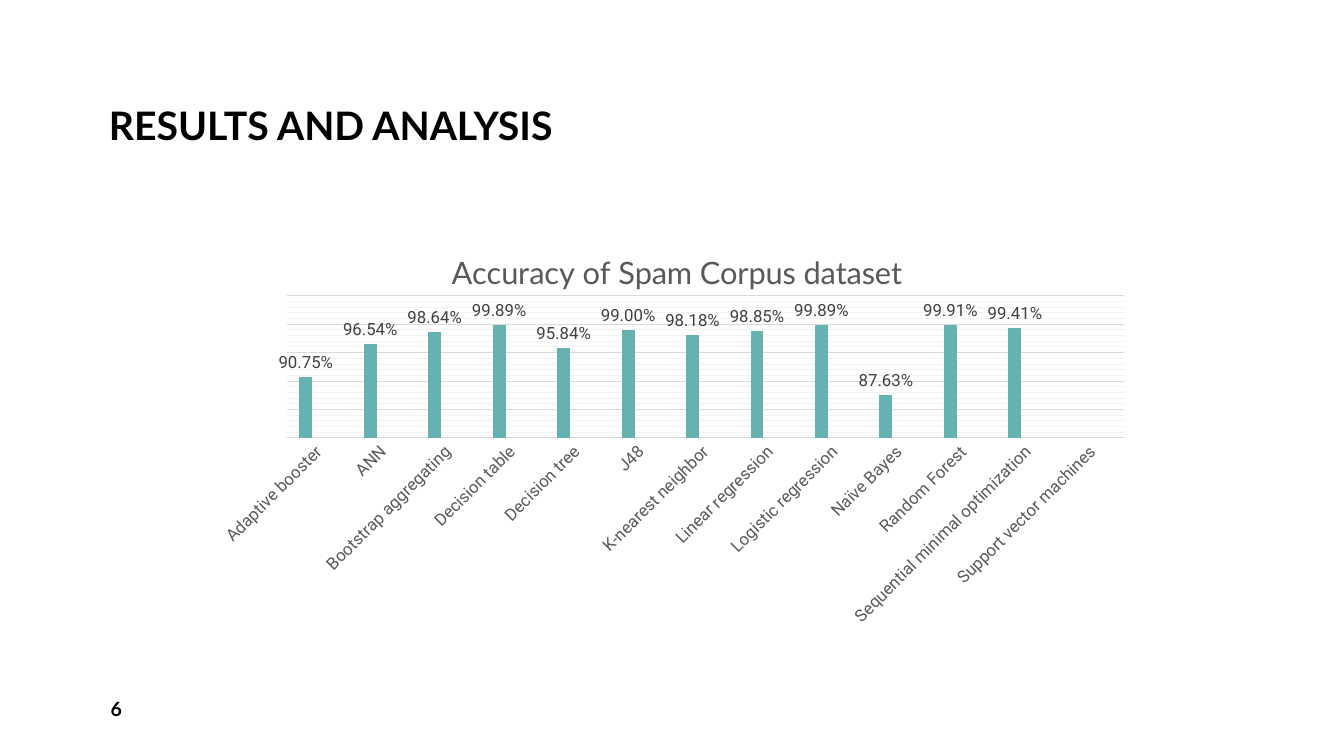
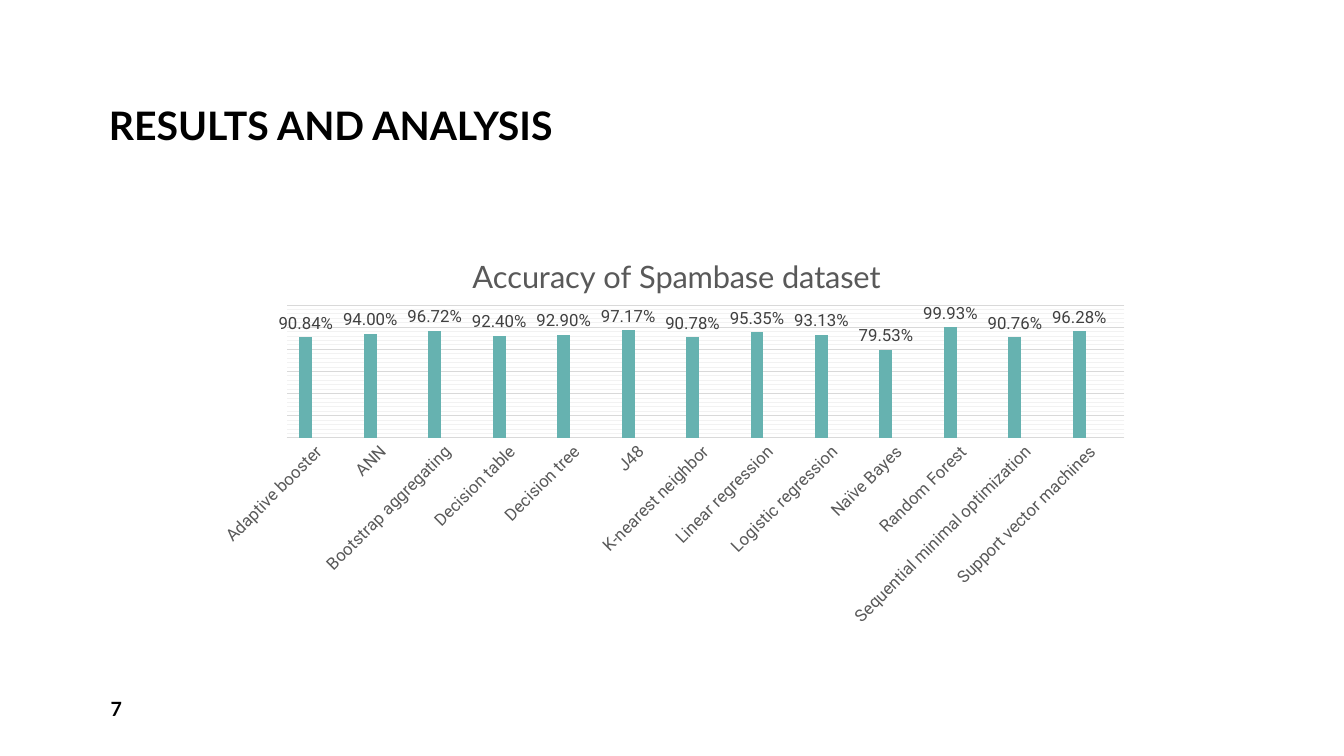
"""Build two slides comparing classifier accuracy on two spam datasets."""
from dataclasses import dataclass
from typing import Optional

import pptx
import pptx.chart.chart
import pptx.chart.data
import pptx.dml.color
import pptx.enum.chart
import pptx.enum.text
import pptx.oxml
import pptx.oxml.ns
import pptx.oxml.xmlchemy
import pptx.presentation
import pptx.slide
import pptx.text.text
import pptx.util

RGBColor = pptx.dml.color.RGBColor
BLACK = RGBColor(0x00, 0x00, 0x00)
AXIS_GRAY = RGBColor(0x59, 0x59, 0x59)
LABEL_GRAY = RGBColor(0x40, 0x40, 0x40)
MAJOR_GRAY = RGBColor(0xD9, 0xD9, 0xD9)
MINOR_GRAY = RGBColor(0xF2, 0xF2, 0xF2)
SERIES_COLORS = (
    RGBColor(0x66, 0xB2, 0xB0),
    RGBColor(0xF2, 0x49, 0x4C),
    RGBColor(0xF3, 0x98, 0x91),
)
HEADING_FONT = "Lato"
CHART_FONT = "Roboto"
PERCENT_FORMAT = "0.00%"
GRIDLINE_WIDTH = pptx.util.Pt(0.75)
SLIDE_WIDTH = pptx.util.Inches(13.33)
SLIDE_HEIGHT = pptx.util.Inches(7.5)
TITLE_ONLY = 5
SLIDE_TITLE = "RESULTS AND ANALYSIS"

CLASSIFIERS = (
    "Adaptive booster",
    "ANN",
    "Bootstrap aggregating",
    "Decision table",
    "Decision tree",
    "J48",
    "K-nearest neighbor",
    "Linear regression",
    "Logistic regression",
    "Naïve Bayes",
    "Random Forest",
    "Sequential minimal optimization",
    "Support vector machines",
)


@dataclass(frozen=True)
class Area:
    """A rectangle in percent of the slide's width and height."""

    left: float
    top: float
    width: float
    height: float

    def box(self) -> tuple[int, int, int, int]:
        """Return left, top, width and height in EMU."""
        return (
            int(SLIDE_WIDTH * self.left / 100),
            int(SLIDE_HEIGHT * self.top / 100),
            int(SLIDE_WIDTH * self.width / 100),
            int(SLIDE_HEIGHT * self.height / 100),
        )


@dataclass(frozen=True)
class Dataset:
    """Accuracy results, the scale that suits them and places in percent of the chart."""

    page: int
    heading: str
    accuracies: tuple[Optional[float], ...]
    lowest: float
    highest: float
    step: float
    heading_place: dict[str, float]
    plot_place: dict[str, float]


TITLE_AREA = Area(7.35, 1.07, 85.37, 19.33)
PAGE_AREA = Area(7.5, 91.07, 21.9, 5.33)
CHART_AREA = Area(14.93, 30.27, 70.22, 53.73)

DATASETS = (
    Dataset(
        page=6,
        heading="Accuracy of Spam Corpus dataset",
        accuracies=(0.9075, 0.9654, 0.9864, 0.9989, 0.9584, 0.99, 0.9818,
                    0.9885, 0.9989, 0.8763, 0.9991, 0.9941, None),
        lowest=0.8,
        highest=1.05,
        step=0.05,
        heading_place={"x": 26, "y": 4},
        plot_place={"x": 9.1, "y": 16.5, "w": 88.8, "h": 35},
    ),
    Dataset(
        page=7,
        heading="Accuracy of Spambase dataset",
        accuracies=(0.9084, 0.94, 0.9672, 0.924, 0.929, 0.9717, 0.9078,
                    0.9535, 0.9313, 0.7953, 0.9993, 0.9076, 0.9628),
        lowest=0,
        highest=1.2,
        step=0.2,
        heading_place={"x": 28.2, "y": 5},
        plot_place={"x": 9.1, "y": 18.8, "w": 88.8, "h": 32.7},
    ),
)


def set_font(font: pptx.text.text.Font, name: str, size: float,
             color: RGBColor, bold: bool = False) -> None:
    """Apply one typeface, size, colour and weight."""
    font.name = name
    font.size = pptx.util.Pt(size)
    font.bold = bold
    font.color.rgb = color


def write_line(frame: pptx.text.text.TextFrame, text: str, size: float,
               anchor: pptx.enum.text.MSO_ANCHOR) -> pptx.text.text._Paragraph:
    """Write a bold left-aligned heading line."""
    frame.word_wrap = True
    frame.auto_size = pptx.enum.text.MSO_AUTO_SIZE.NONE
    frame.vertical_anchor = anchor
    paragraph = frame.paragraphs[0]
    paragraph.text = text
    paragraph.alignment = pptx.enum.text.PP_ALIGN.LEFT
    set_font(paragraph.font, HEADING_FONT, size, BLACK, bold=True)
    return paragraph


def place_in_chart(part: pptx.oxml.xmlchemy.BaseOxmlElement,
                   place: dict[str, float], inner: bool = False) -> None:
    """Fix a chart part's position in percent of the chart."""
    namespace = pptx.oxml.ns.nsdecls("c")
    layout = part.find(pptx.oxml.ns.qn("c:layout"))
    if layout is None:
        layout = pptx.oxml.parse_xml(f"<c:layout {namespace}/>")
        part.insert(0, layout)
    settings = {"layoutTarget": "inner"} if inner else {}
    settings |= {f"{side}Mode": "edge" for side in ("x", "y")}
    settings |= {side: f"{share / 100:.3f}" for side, share in place.items()}
    children = "".join(f'<c:{tag} val="{value}"/>' for tag, value in settings.items())
    layout.append(pptx.oxml.parse_xml(
        f"<c:manualLayout {namespace}>{children}</c:manualLayout>"))


def style_axes(chart: pptx.chart.chart.Chart, dataset: Dataset) -> None:
    """Slant the classifier names and set the hidden accuracy scale."""
    qn = pptx.oxml.ns.qn
    no_tick = pptx.enum.chart.XL_TICK_MARK.NONE
    names = chart.category_axis
    names.has_major_gridlines = False
    names.major_tick_mark = names.minor_tick_mark = no_tick
    names.format.line.color.rgb = MAJOR_GRAY
    names.format.line.width = GRIDLINE_WIDTH
    set_font(names.tick_labels.font, CHART_FONT, 12, AXIS_GRAY)
    names._element.find(".//" + qn("a:bodyPr")).set("rot", "-2700000")

    scale = chart.value_axis
    scale.visible = False
    scale.minimum_scale = dataset.lowest
    scale.maximum_scale = dataset.highest
    scale.major_unit = dataset.step
    scale.minor_unit = round(dataset.step / 5, 2)
    scale.has_major_gridlines = scale.has_minor_gridlines = True
    scale.tick_labels.number_format = PERCENT_FORMAT
    scale.tick_labels.number_format_is_linked = False
    scale.major_gridlines.format.line.color.rgb = MAJOR_GRAY
    scale.major_gridlines.format.line.width = GRIDLINE_WIDTH
    scale._element.find(qn("c:minorGridlines")).append(pptx.oxml.parse_xml(
        f'<c:spPr {pptx.oxml.ns.nsdecls("c", "a")}><a:ln w="{GRIDLINE_WIDTH}">'
        f'<a:solidFill><a:srgbClr val="{MINOR_GRAY}"/></a:solidFill></a:ln></c:spPr>'))


def style_columns(chart: pptx.chart.chart.Chart) -> None:
    """Colour the columns and label them with their values."""
    columns = chart.plots[0]
    columns.gap_width = 199
    columns.overlap = 0
    columns.vary_by_categories = False
    for series, color in zip(columns.series, SERIES_COLORS):
        series.invert_if_negative = False
        series.format.fill.solid()
        series.format.fill.fore_color.rgb = color
        labels = series.data_labels
        labels.show_value = True
        labels.position = pptx.enum.chart.XL_LABEL_POSITION.OUTSIDE_END
        labels.number_format = PERCENT_FORMAT
        labels.number_format_is_linked = False
        set_font(labels.font, CHART_FONT, 12, LABEL_GRAY)


def add_accuracy_chart(slide: pptx.slide.Slide, dataset: Dataset) -> None:
    """Draw one dataset's accuracy chart."""
    results = pptx.chart.data.CategoryChartData(number_format=PERCENT_FORMAT)
    results.categories = CLASSIFIERS
    unused = (None,) * len(CLASSIFIERS)
    for number, values in enumerate((dataset.accuracies, unused, unused), start=1):
        results.add_series(f"Series {number}", values)
    chart = slide.shapes.add_chart(
        pptx.enum.chart.XL_CHART_TYPE.COLUMN_CLUSTERED, *CHART_AREA.box(), results).chart
    set_font(chart.font, CHART_FONT, 10, BLACK)
    chart.has_legend = False
    chart.has_title = True
    heading = chart.chart_title
    place_in_chart(heading._element, dataset.heading_place)
    paragraph = heading.text_frame.paragraphs[0]
    paragraph.text = dataset.heading
    set_font(paragraph.font, HEADING_FONT, 22, AXIS_GRAY)
    plot_area = chart._chartSpace.find(".//" + pptx.oxml.ns.qn("c:plotArea"))
    place_in_chart(plot_area, dataset.plot_place, inner=True)
    style_axes(chart, dataset)
    style_columns(chart)


def add_results_slide(deck: pptx.presentation.Presentation, dataset: Dataset) -> None:
    """Add a titled, numbered slide with its chart."""
    slide = deck.slides.add_slide(deck.slide_layouts[TITLE_ONLY])
    title = slide.shapes.title
    title.left, title.top, title.width, title.height = TITLE_AREA.box()
    line = write_line(title.text_frame, SLIDE_TITLE, 28,
                      pptx.enum.text.MSO_ANCHOR.BOTTOM)
    line.line_spacing = 0.9
    page = slide.shapes.add_textbox(*PAGE_AREA.box())
    write_line(page.text_frame, str(dataset.page), 14,
               pptx.enum.text.MSO_ANCHOR.MIDDLE)
    add_accuracy_chart(slide, dataset)


def main() -> None:
    """Build and save the deck."""
    deck = pptx.Presentation()
    deck.slide_width = SLIDE_WIDTH
    deck.slide_height = SLIDE_HEIGHT
    for dataset in DATASETS:
        add_results_slide(deck, dataset)
    deck.save("out.pptx")


if __name__ == "__main__":
    main()
